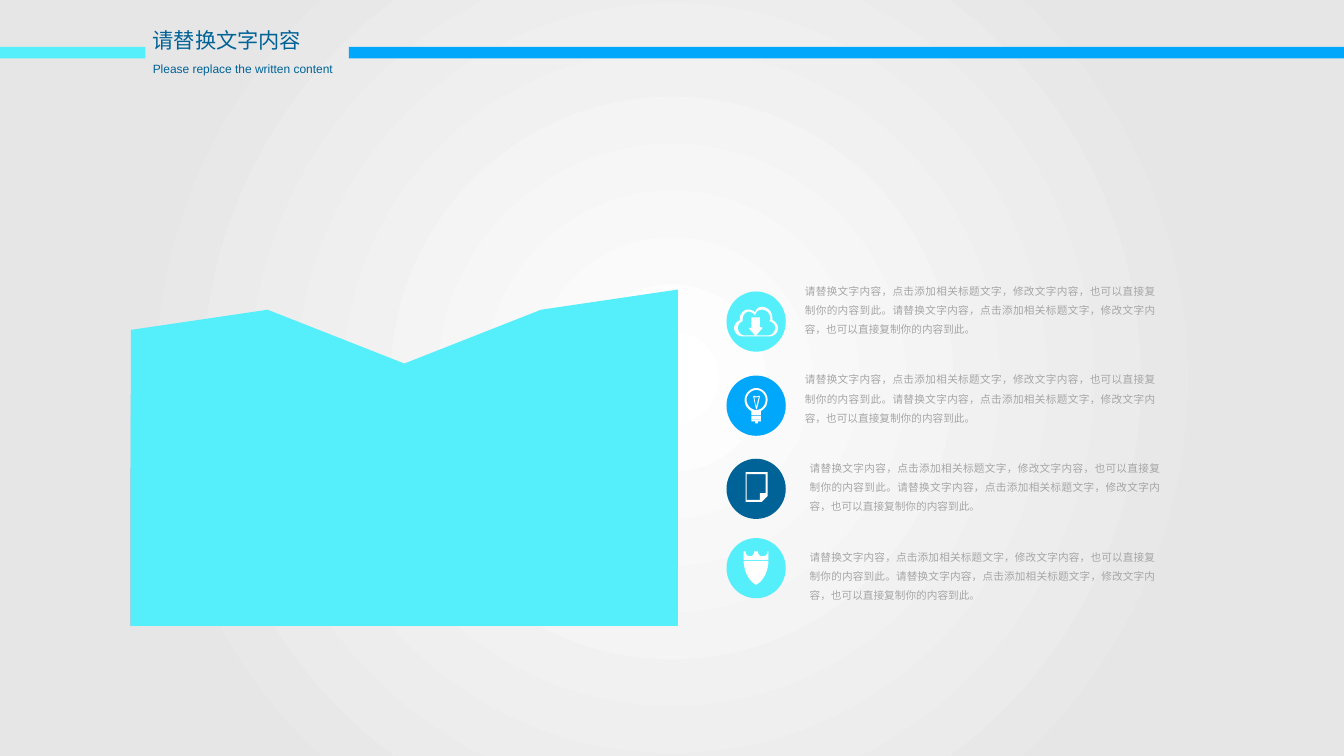
import pptx
import pptx.chart.data
import pptx.dml.color
import pptx.enum.chart
import pptx.enum.shapes
import pptx.enum.text
import pptx.oxml
import pptx.oxml.ns
import pptx.util

Inches = pptx.util.Inches
RGBColor = pptx.dml.color.RGBColor
MSO_SHAPE = pptx.enum.shapes.MSO_SHAPE
qn = pptx.oxml.ns.qn

CYAN = RGBColor(0x55, 0xEE, 0xFB)
BLUE = RGBColor(0x00, 0xA7, 0xFB)
NAVY = RGBColor(0x00, 0x63, 0x97)
WHITE = RGBColor(0xFF, 0xFF, 0xFF)
PALE_GRAY = RGBColor(0xE6, 0xE6, 0xE6)
TEXT_GRAY = RGBColor(0xA6, 0xA6, 0xA6)
BLACK = RGBColor(0, 0, 0)
FONT = "Arial"

SENTENCE = "请替换文字内容，点击添加相关标题文字，修改文字内容，也可以直接复制你的内容到此。"
# circle top, colour, text left, text width
ITEMS = [
    (3.05, CYAN, 8.37, 3.77),
    (3.93, BLUE, 8.37, 3.77),
    (4.80, NAVY, 8.42, 3.77),
    (5.63, CYAN, 8.42, 3.72),
]
SERIES = [
    ("Series 1", (88, 94, 78, 94, 100), CYAN),
    ("Series 2", (69, 56, 62, 66, 88), BLUE),
    ("Series 3", (47, 47, 47, 59, 56), NAVY),
    ("Series 4", (62, 38, 38, 28, 34), CYAN),
]

# Contours: a pair is a corner, six numbers are a cubic curve.
CLOUD = [
    [(8.08, 3.35), (8.08, 3.34, 8.08, 3.33, 8.08, 3.32),
     (8.08, 3.26, 8.03, 3.21, 7.97, 3.21), (7.91, 3.21, 7.9, 3.27, 7.9, 3.27),
     (7.9, 3.27, 7.87, 3.23, 7.81, 3.24), (7.77, 3.25, 7.74, 3.29, 7.74, 3.33),
     (7.74, 3.35), (7.71, 3.36, 7.68, 3.4, 7.68, 3.43),
     (7.68, 3.48, 7.72, 3.52, 7.77, 3.52), (8.05, 3.52),
     (8.1, 3.52, 8.14, 3.48, 8.14, 3.43), (8.14, 3.4, 8.11, 3.36, 8.08, 3.35)],
    [(8.03, 3.51), (7.91, 3.51), (7.98, 3.43), (7.95, 3.42), (7.95, 3.32),
     (7.86, 3.32), (7.86, 3.43), (7.83, 3.43), (7.9, 3.51), (7.79, 3.51),
     (7.75, 3.51, 7.72, 3.47, 7.72, 3.43), (7.72, 3.4, 7.74, 3.37, 7.77, 3.36),
     (7.77, 3.34), (7.77, 3.3, 7.79, 3.27, 7.83, 3.26),
     (7.87, 3.26, 7.9, 3.3, 7.9, 3.3), (7.9, 3.3, 7.91, 3.24, 7.97, 3.24),
     (8.02, 3.24, 8.06, 3.28, 8.06, 3.34), (8.05, 3.36),
     (8.09, 3.37, 8.11, 3.4, 8.11, 3.43), (8.11, 3.47, 8.08, 3.51, 8.03, 3.51)],
]
PAGE = [
    [(7.8, 4.94), (7.8, 5.25), (7.97, 5.25), (8.03, 5.19), (8.03, 4.94)],
    [(7.81, 5.23), (7.81, 4.96), (8.01, 4.96), (8.01, 5.16), (7.95, 5.16), (7.95, 5.23)],
]
BULB_GLASS = [
    [(8.03, 4.18), (8.03, 4.12, 7.98, 4.06, 7.91, 4.06),
     (7.85, 4.06, 7.79, 4.12, 7.79, 4.18), (7.79, 4.24, 7.82, 4.28, 7.86, 4.3),
     (7.86, 4.34), (7.96, 4.34), (7.96, 4.3), (8, 4.28, 8.03, 4.24, 8.03, 4.18)],
    [(7.91, 4.29), (7.86, 4.29, 7.81, 4.24, 7.81, 4.18),
     (7.81, 4.13, 7.86, 4.08, 7.91, 4.08), (7.97, 4.08, 8.01, 4.13, 8.01, 4.18),
     (8.01, 4.24, 7.97, 4.29, 7.91, 4.29)],
]
BULB_FOOT = [[(7.86, 4.41), (7.9, 4.41), (7.9, 4.43), (7.93, 4.43),
              (7.93, 4.41), (7.96, 4.41), (7.96, 4.39), (7.86, 4.39)]]
BULB_FILAMENT = [
    [(7.95, 4.15), (7.94, 4.14), (7.91, 4.15), (7.89, 4.14),
     (7.88, 4.15), (7.91, 4.28), (7.92, 4.28)],
    [(7.91, 4.26), (7.89, 4.15), (7.91, 4.16), (7.94, 4.15)],
]
SHIELD = [[(7.91, 6.12), (8.04, 6.05, 8.04, 5.87, 8.04, 5.87), (7.78, 5.87),
           (7.78, 5.87, 7.78, 6.05, 7.91, 6.12)]]
CROWN = [[(8.03, 5.77), (8.03, 5.8, 8.01, 5.82, 7.98, 5.82),
          (7.95, 5.82, 7.93, 5.8, 7.93, 5.77), (7.89, 5.77),
          (7.89, 5.8, 7.87, 5.82, 7.85, 5.82), (7.82, 5.82, 7.8, 5.8, 7.8, 5.77),
          (7.78, 5.77), (7.78, 5.86), (8.04, 5.86), (8.04, 5.77)]]


def paint(shape, color):
    shape.fill.solid()
    shape.fill.fore_color.rgb = color
    shape.line.fill.background()
    shape.shadow.inherit = False


def add_solid(slide, kind, left, top, width, height, color):
    shape = slide.shapes.add_shape(
        kind, Inches(left), Inches(top), Inches(width), Inches(height))
    paint(shape, color)


def flatten(contour, steps=8):
    """Turn corners and cubic curves into a list of points in EMU."""
    points = [contour[0]]
    for segment in contour[1:]:
        if len(segment) == 2:
            points.append(segment)
            continue
        nodes = [points[-1], segment[:2], segment[2:4], segment[4:]]
        for step in range(1, steps + 1):
            t = step / steps
            weights = ((1 - t) ** 3, 3 * t * (1 - t) ** 2, 3 * t * t * (1 - t), t ** 3)
            points.append(tuple(
                sum(weight * node[axis] for weight, node in zip(weights, nodes))
                for axis in (0, 1)))
    return [(Inches(x), Inches(y)) for x, y in points]


def add_outline(slide, contours):
    """Draw a white icon part; later contours cut holes in the first."""
    outlines = [flatten(contour) for contour in contours]
    builder = slide.shapes.build_freeform(*outlines[0][0])
    builder.add_line_segments(outlines[0][1:], close=True)
    for points in outlines[1:]:
        builder.move_to(*points[0])
        builder.add_line_segments(points[1:], close=True)
    paint(builder.convert_to_shape(), WHITE)


def add_text(slide, left, top, width, height, text, size, color, wrap=False):
    box = slide.shapes.add_textbox(
        Inches(left), Inches(top), Inches(width), Inches(height))
    frame = box.text_frame
    frame.text = text
    frame.word_wrap = wrap
    frame.auto_size = pptx.enum.text.MSO_AUTO_SIZE.SHAPE_TO_FIT_TEXT
    font = frame.paragraphs[0].runs[0].font
    font.name = FONT
    font.size = pptx.util.Pt(size)
    font.color.rgb = color
    return frame


def add_description(slide, left, top, width):
    frame = add_text(slide, left, top, width, 0.66, SENTENCE * 2, 8, TEXT_GRAY, wrap=True)
    frame.margin_left = frame.margin_right = Inches(0.05)
    frame.margin_top = frame.margin_bottom = Inches(0.03)
    paragraph = frame.paragraphs[0]
    paragraph.alignment = pptx.enum.text.PP_ALIGN.JUSTIFY
    paragraph.line_spacing = 1.5


def set_radial_background(slide):
    fill = slide.background.fill
    fill.gradient()
    for stop, position, color in zip(fill.gradient_stops, (0, 0.73), (WHITE, PALE_GRAY)):
        stop.position = position
        stop.color.rgb = color
    gradient = next(slide.element.iter(qn("a:gradFill")))
    gradient.remove(gradient.find(qn("a:lin")))
    gradient.append(pptx.oxml.parse_xml(
        f'<a:path {pptx.oxml.ns.nsdecls("a")} path="circle">'
        '<a:fillToRect l="50000" t="50000" r="50000" b="50000"/></a:path>'))


def place_plot(chart, **fractions):
    """Fix the inner plot area and let the areas reach its sides."""
    plot_area = next(chart.element.iter(qn("c:plotArea"))) if hasattr(chart, "element") \
        else next(chart._chartSpace.iter(qn("c:plotArea")))
    for layout in plot_area.findall(qn("c:layout")):
        plot_area.remove(layout)
    values = "".join(f'<c:{name} val="{value}"/>' for name, value in fractions.items())
    plot_area.insert(0, pptx.oxml.parse_xml(
        f'<c:layout {pptx.oxml.ns.nsdecls("c")}><c:manualLayout>'
        '<c:layoutTarget val="inner"/><c:xMode val="edge"/><c:yMode val="edge"/>'
        f'{values}</c:manualLayout></c:layout>'))
    for crossing in plot_area.iter(qn("c:crossBetween")):
        crossing.set("val", "midCat")


def add_area_chart(slide):
    data = pptx.chart.data.CategoryChartData()
    data.categories = ["1", "2", "3", "4", "5"]
    for name, values, _ in SERIES:
        data.add_series(name, values)
    chart = slide.shapes.add_chart(
        pptx.enum.chart.XL_CHART_TYPE.AREA,
        Inches(1.25), Inches(2.63), Inches(5.96), Inches(4), data).chart
    chart.has_legend = False
    chart.has_title = False
    chart.font.name = FONT
    chart.font.size = pptx.util.Pt(18)
    chart.font.color.rgb = BLACK
    chart.plots[0].vary_by_categories = False
    for series, (_, _, color) in zip(chart.plots[0].series, SERIES):
        series.format.fill.solid()
        series.format.fill.fore_color.rgb = color
    for axis in (chart.category_axis, chart.value_axis):
        axis.visible = False
        axis.has_major_gridlines = False
    chart.value_axis.minimum_scale = 0
    chart.value_axis.maximum_scale = 100
    place_plot(chart, x=0.02, y=0.1, w=0.96, h=0.88)


def main():
    presentation = pptx.Presentation()
    presentation.slide_width = Inches(14.06)
    presentation.slide_height = Inches(7.91)
    slide = presentation.slides.add_slide(presentation.slide_layouts[6])
    set_radial_background(slide)
    add_area_chart(slide)
    for row, (circle_top, color, left, width) in enumerate(ITEMS):
        add_solid(slide, MSO_SHAPE.OVAL, 7.6, circle_top, 0.62, 0.63, color)
        add_description(slide, left, 2.88 + 0.93 * row, width)
    for icon in (CLOUD, PAGE, BULB_GLASS, BULB_FOOT, BULB_FILAMENT, SHIELD, CROWN):
        add_outline(slide, icon)
    add_solid(slide, MSO_SHAPE.RECTANGLE, 7.86, 4.35, 0.1, 0.04, WHITE)
    add_solid(slide, MSO_SHAPE.RECTANGLE, 3.65, 0.49, 10.41, 0.12, BLUE)
    add_solid(slide, MSO_SHAPE.RECTANGLE, 0, 0.49, 1.52, 0.12, CYAN)
    add_text(slide, 1.5, 0.59, 2.1, 0.25, "Please replace the written content", 9, NAVY)
    add_text(slide, 1.5, 0.24, 1.77, 0.37, "请替换文字内容", 16, NAVY)
    presentation.save("out.pptx")


if __name__ == "__main__":
    main()
